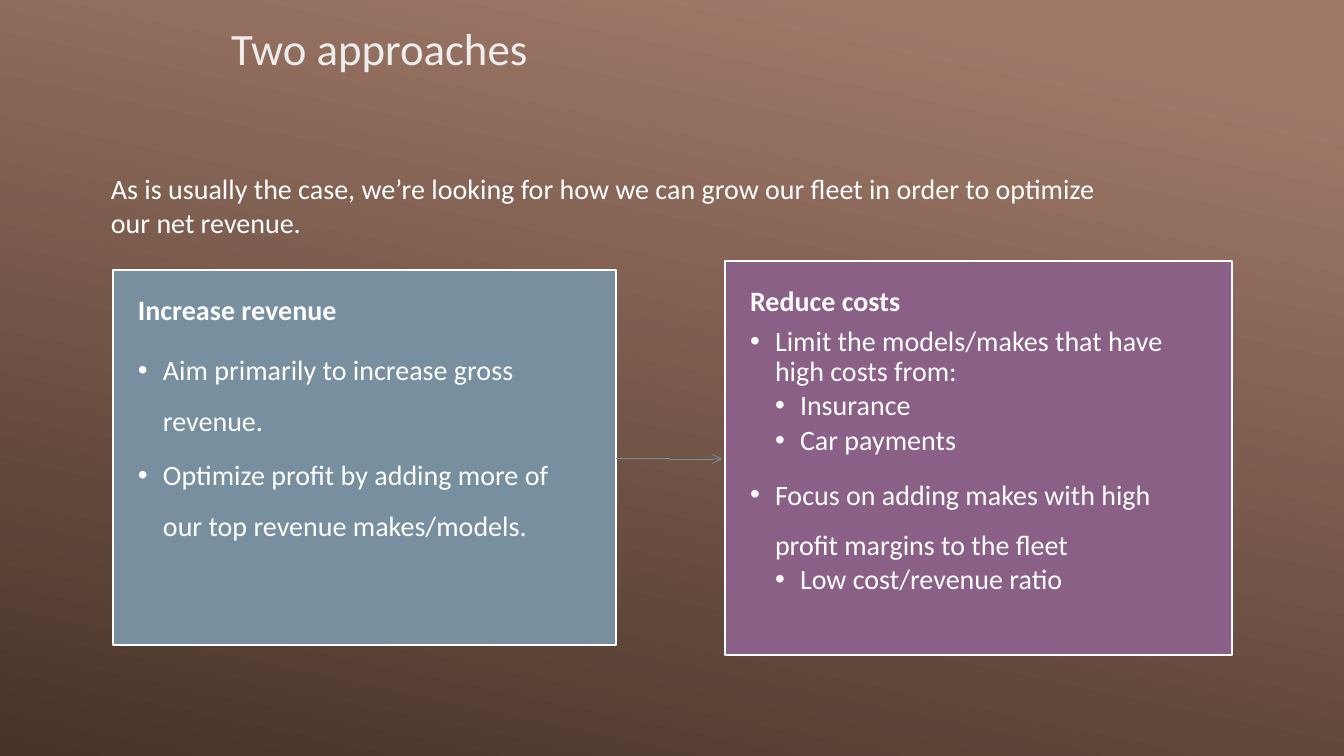
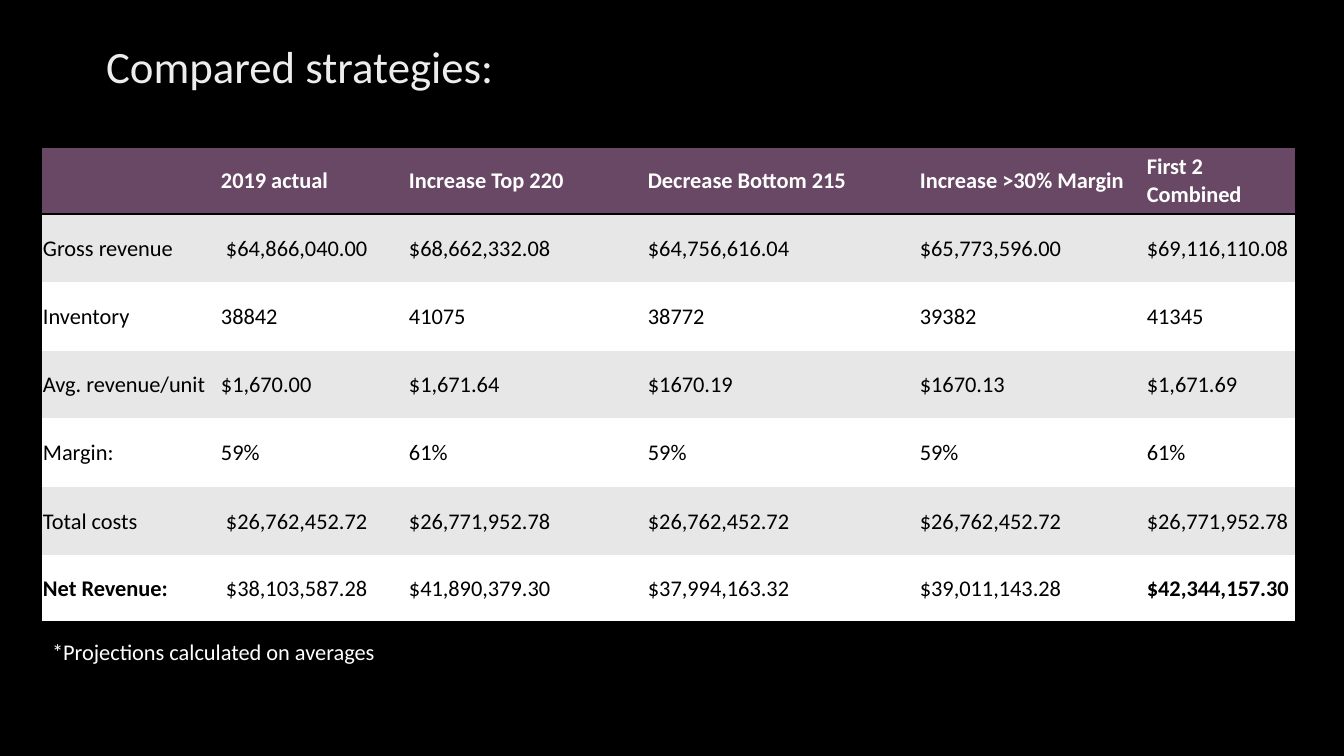
"""Build two slides on fleet strategy: the approaches and their comparison."""
from dataclasses import dataclass
from typing import NamedTuple

from lxml.etree import SubElement
from pptx import Presentation
from pptx.dml.color import RGBColor
from pptx.enum.shapes import MSO_CONNECTOR as Connector
from pptx.enum.text import MSO_ANCHOR as Anchor, MSO_AUTO_SIZE as AutoSize, PP_ALIGN as Align
from pptx.oxml import parse_xml
from pptx.oxml.ns import nsdecls, qn
from pptx.util import Emu, Pt

EMU_PER_PX = 914400 / 100.8
FONT = "Calibri"
WHITE, BLACK, TITLE_COLOR = "FFFFFF", "000000", "EDEDED"
SLATE, PLUM, HEADER_FILL, BAND_FILL = "778F9F", "8A6087", "684865", "E7E7E7"
BACKGROUND_STOPS = ((0.1, "9F7968"), (1.0, "483328"))
BACKGROUND_ANGLE = 258
TITLE_SIZE, BODY_SIZE, TABLE_SIZE = 32, 20, 16
NO_GRID_STYLE = "{2D5ABB26-0587-4C30-8999-92F81FD0307C}"
BULLET_INDENT = 25


class Box(NamedTuple):
    left: int
    top: int
    width: int
    height: int


class Item(NamedTuple):
    text: str
    level: int = 1
    spacing: float = 0.9


@dataclass(frozen=True)
class Card:
    box: Box
    fill: str
    items: tuple[Item, ...]


CARDS = (
    Card(Box(113, 270, 503, 375), SLATE, (
        Item("Increase revenue", 0),
        Item("Aim primarily to increase gross revenue.", spacing=1.5),
        Item("Optimize profit by adding more of our top revenue makes/models.", spacing=1.5),
    )),
    Card(Box(725, 261, 507, 394), PLUM, (
        Item("Reduce costs", 0),
        Item("Limit the models/makes that have high costs from:"),
        Item("Insurance", 2),
        Item("Car payments", 2),
        Item("Focus on adding makes with high profit margins to the fleet", spacing=1.5),
        Item("Low cost/revenue ratio", 2),
    )),
)

COLUMN_WIDTHS = (178, 188, 239, 272, 227, 149)
ROW_HEIGHTS = (67, 68, 69, 67, 69, 68, 67)
TABLE_ROWS = (
    ("", "2019 actual", "Increase Top 220", "Decrease Bottom 215",
     "Increase >30% Margin", "First 2 Combined"),
    ("Gross revenue", " $64,866,040.00", "$68,662,332.08", "$64,756,616.04",
     "$65,773,596.00", "$69,116,110.08"),
    ("Inventory", "38842", "41075", "38772", "39382", "41345"),
    ("Avg. revenue/unit", "$1,670.00", "$1,671.64", "$1670.19", "$1670.13", "$1,671.69"),
    ("Margin:", "59%", "61%", "59%", "59%", "61%"),
    ("Total costs", " $26,762,452.72", "$26,771,952.78", "$26,762,452.72",
     "$26,762,452.72", "$26,771,952.78"),
    ("Net Revenue:", " $38,103,587.28", "$41,890,379.30", "$37,994,163.32",
     "$39,011,143.28", "$42,344,157.30"),
)


def px(length: int) -> Emu:
    return Emu(round(length * EMU_PER_PX))


def color(hex_code: str) -> RGBColor:
    return RGBColor.from_string(hex_code)


def fill_solid(fill, hex_code: str) -> None:
    fill.solid()
    fill.fore_color.rgb = color(hex_code)


def place(shape, box: Box) -> None:
    shape.left, shape.top, shape.width, shape.height = map(px, box)


def format_runs(paragraph, size: int, hex_code: str, bold: bool = False) -> None:
    for run in paragraph.runs:
        run.font.name = FONT
        run.font.size = Pt(size)
        run.font.bold = bold
        run.font.color.rgb = color(hex_code)


def set_bullet(paragraph, level: int) -> None:
    properties = paragraph._p.get_or_add_pPr()
    properties.set("marL", str(px(BULLET_INDENT * level)))
    properties.set("indent", str(-px(BULLET_INDENT) if level else 0))
    if level:
        SubElement(properties, qn("a:buChar"), char="•")
    else:
        SubElement(properties, qn("a:buNone"))


def set_frame(text_frame, anchor: Anchor) -> None:
    text_frame.word_wrap = True
    text_frame.auto_size = AutoSize.NONE
    text_frame.vertical_anchor = anchor


def set_title(slide, text: str, box: Box, alignment: Align) -> None:
    title = slide.shapes.title
    place(title, box)
    title.text_frame.text = text
    set_frame(title.text_frame, Anchor.MIDDLE)
    paragraph = title.text_frame.paragraphs[0]
    paragraph.alignment = alignment
    paragraph.line_spacing = 0.9
    format_runs(paragraph, TITLE_SIZE, TITLE_COLOR)


def fill_card(placeholder, card: Card) -> None:
    place(placeholder, card.box)
    fill_solid(placeholder.fill, card.fill)
    placeholder.line.color.rgb = color(WHITE)
    placeholder.line.width = Pt(1)
    frame = placeholder.text_frame
    frame.text = "\n".join(item.text for item in card.items)
    set_frame(frame, Anchor.TOP)
    frame.margin_left = frame.margin_right = px(25)
    frame.margin_top = frame.margin_bottom = px(26)
    for paragraph, item in zip(frame.paragraphs, card.items):
        is_heading = item.level == 0
        set_bullet(paragraph, item.level)
        paragraph.level = item.level
        paragraph.line_spacing = item.spacing
        paragraph.space_before = Pt(0)
        paragraph.space_after = Pt(7 if is_heading else 3)
        format_runs(paragraph, BODY_SIZE, WHITE, is_heading)


def add_arrow(slide) -> None:
    arrow = slide.shapes.add_connector(Connector.ELBOW, px(616), px(458), px(722), px(459))
    arrow.line.color.rgb = color(SLATE)
    arrow.line.width = Pt(0.5)
    SubElement(arrow.line._get_or_add_ln(), qn("a:tailEnd"), type="arrow")
    SubElement(arrow._element.spPr, qn("a:effectLst"))


def add_approaches(presentation) -> None:
    slide = presentation.slides.add_slide(presentation.slide_layouts.get_by_name("Two Content"))
    background = slide.background.fill
    background.gradient()
    background.gradient_angle = BACKGROUND_ANGLE
    for stop, (position, hex_code) in zip(background.gradient_stops, BACKGROUND_STOPS):
        stop.position = position
        stop.color.rgb = color(hex_code)
    set_title(slide, "Two approaches", Box(142, 2, 475, 97), Align.CENTER)
    intro = slide.shapes.add_textbox(*map(px, Box(101, 146, 1009, 118))).text_frame
    intro.text = ("As is usually the case, we’re looking for how we can grow our fleet "
                  "in order to optimize our net revenue.")
    set_frame(intro, Anchor.MIDDLE)
    format_runs(intro.paragraphs[0], BODY_SIZE, WHITE)
    for index, card in enumerate(CARDS, start=1):
        fill_card(slide.placeholders[index], card)
    add_arrow(slide)


def add_borders(cell, *sides: str) -> None:
    properties = cell._tc.get_or_add_tcPr()
    for index, side in enumerate(sides):
        properties.insert(index, parse_xml(
            f'<a:{side} {nsdecls("a")} w="{Pt(2)}"><a:solidFill>'
            f'<a:srgbClr val="{BLACK}"/></a:solidFill></a:{side}>'))


def fill_cell(cell, text: str, row: int, column: int) -> None:
    is_header, is_last = row == 0, row == len(TABLE_ROWS) - 1
    fill_solid(cell.fill, HEADER_FILL if is_header else BAND_FILL if row % 2 else WHITE)
    cell.margin_left = cell.margin_right = cell.margin_top = px(1)
    cell.margin_bottom = 0
    cell.vertical_anchor = Anchor.MIDDLE
    cell.text_frame.text = text
    bold = is_header or (is_last and column in (0, len(COLUMN_WIDTHS) - 1))
    format_runs(cell.text_frame.paragraphs[0], TABLE_SIZE, WHITE if is_header else BLACK, bold)
    if is_header:
        add_borders(cell, "lnT", "lnB")
    elif is_last:
        add_borders(cell, "lnB")


def add_strategy_table(slide) -> None:
    box = Box(42, 147, sum(COLUMN_WIDTHS), sum(ROW_HEIGHTS))
    table = slide.shapes.add_table(len(TABLE_ROWS), len(COLUMN_WIDTHS), *map(px, box)).table
    table.horz_banding = False
    table._tbl.tblPr.find(qn("a:tableStyleId")).text = NO_GRID_STYLE
    for column, width in zip(table.columns, COLUMN_WIDTHS):
        column.width = px(width)
    for row, height in zip(table.rows, ROW_HEIGHTS):
        row.height = px(height)
    for row, texts in enumerate(TABLE_ROWS):
        for column, text in enumerate(texts):
            fill_cell(table.cell(row, column), text, row, column)


def add_comparison(presentation) -> None:
    slide = presentation.slides.add_slide(
        presentation.slide_layouts.get_by_name("Title and Content"))
    fill_solid(slide.background.fill, BLACK)
    set_title(slide, "Compared strategies:", Box(96, 31, 555, 75), Align.LEFT)
    footnote = slide.placeholders[1]
    place(footnote, Box(42, 636, 443, 48))
    footnote.text_frame.text = "*Projections calculated on averages"
    set_frame(footnote.text_frame, Anchor.TOP)
    paragraph = footnote.text_frame.paragraphs[0]
    set_bullet(paragraph, 0)
    paragraph.line_spacing = 0.9
    paragraph.space_before = Pt(0)
    format_runs(paragraph, TABLE_SIZE, WHITE)
    add_strategy_table(slide)


def main() -> None:
    presentation = Presentation()
    presentation.slide_width, presentation.slide_height = px(1344), px(756)
    add_approaches(presentation)
    add_comparison(presentation)
    presentation.save("out.pptx")


if __name__ == "__main__":
    main()
